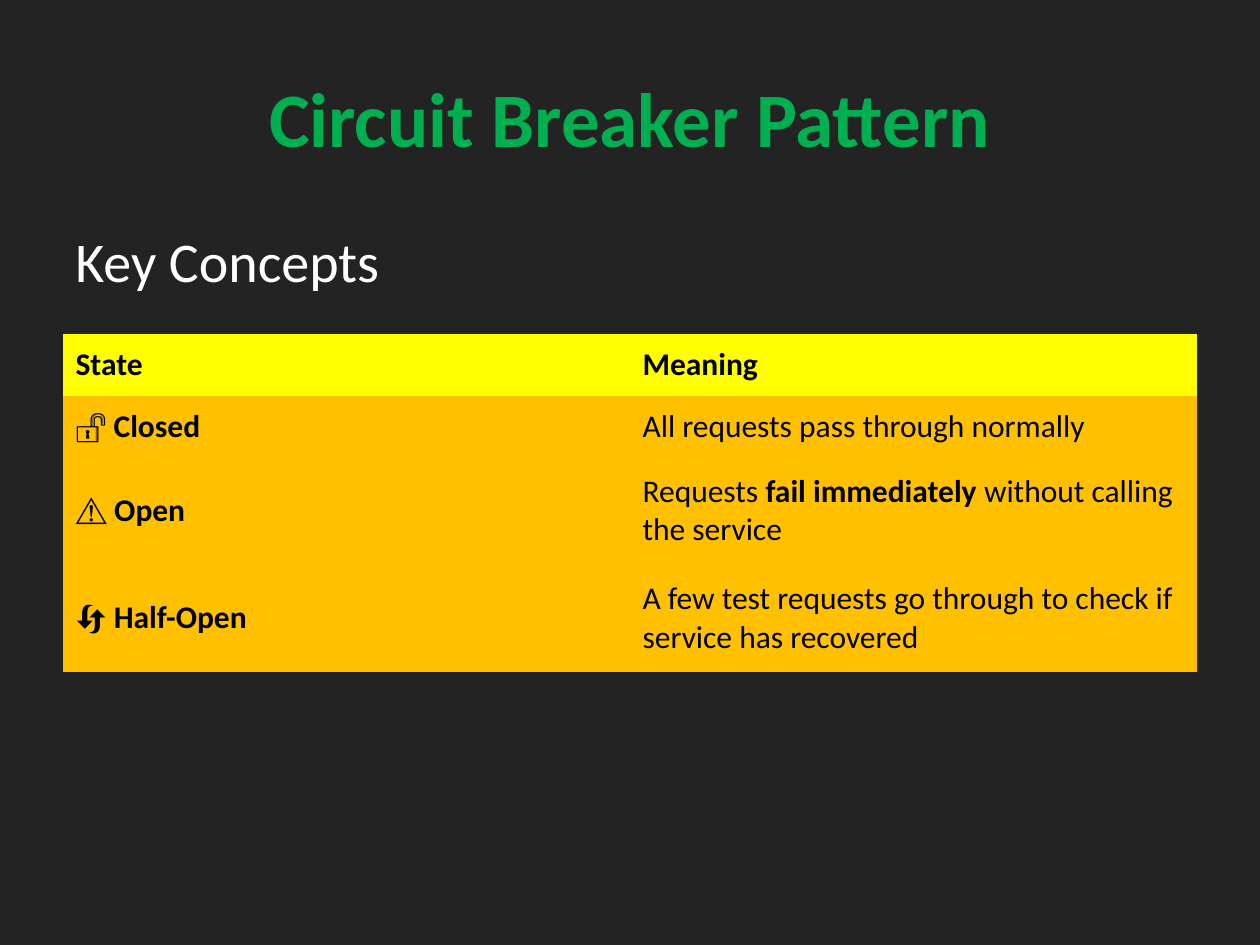
from dataclasses import dataclass

from pptx import Presentation
from pptx.dml.color import RGBColor
from pptx.enum.text import MSO_ANCHOR, PP_ALIGN
from pptx.oxml.ns import qn
from pptx.util import Inches, Pt

MIDDLE = MSO_ANCHOR.MIDDLE
TOP = MSO_ANCHOR.TOP
CENTER = PP_ALIGN.CENTER
LEFT = PP_ALIGN.LEFT

CHARCOAL = RGBColor(0x23, 0x23, 0x23)
GREEN = RGBColor(0x00, 0xB0, 0x50)
WHITE = RGBColor(0xFF, 0xFF, 0xFF)
BLACK = RGBColor(0x00, 0x00, 0x00)
YELLOW = RGBColor(0xFF, 0xFF, 0x00)
AMBER = RGBColor(0xFF, 0xC0, 0x00)

FONT = "Calibri"
PLAIN_TABLE_STYLE = "{2D5ABB26-0587-4C30-8999-92F81FD0307C}"
MARGIN = 0.5
CONTENT_WIDTH = 9


@dataclass(frozen=True)
class Span:
    text: str
    bold: bool = False


@dataclass(frozen=True)
class Heading:
    span: Span
    top: float
    height: float
    size: int
    color: RGBColor
    align: PP_ALIGN
    anchor: MSO_ANCHOR


@dataclass(frozen=True)
class StateRow:
    state: tuple[Span, ...]
    meaning: tuple[Span, ...]
    height: float
    fill: RGBColor = AMBER


HEADINGS = (
    Heading(Span("Circuit Breaker Pattern", True), 0.3, 1.25, 44, GREEN, CENTER, MIDDLE),
    Heading(Span("Key Concepts"), 1.75, 0.75, 32, WHITE, LEFT, TOP),
)

ROWS = (
    StateRow((Span("State", True),), (Span("Meaning", True),), 0.49, YELLOW),
    StateRow(
        (Span("🔓 "), Span("Closed", True)),
        (Span("All requests pass through normally"),),
        0.49,
    ),
    StateRow(
        (Span("⚠️ "), Span("Open", True)),
        (
            Span("Requests "),
            Span("fail immediately", True),
            Span(" without calling the service"),
        ),
        0.85,
    ),
    StateRow(
        (Span("🔄 "), Span("Half-Open", True)),
        (Span("A few test requests go through to check if service has recovered"),),
        0.85,
    ),
)


def add_spans(para, spans: tuple[Span, ...], size: int, color: RGBColor) -> None:
    for span in spans:
        run = para.add_run()
        run.text = span.text
        run.font.name = FONT
        run.font.size = Pt(size)
        run.font.bold = span.bold
        run.font.color.rgb = color


def add_heading(slide, heading: Heading) -> None:
    box = slide.shapes.add_textbox(
        Inches(MARGIN), Inches(heading.top), Inches(CONTENT_WIDTH), Inches(heading.height)
    )
    frame = box.text_frame
    frame.word_wrap = True
    frame.vertical_anchor = heading.anchor
    para = frame.paragraphs[0]
    para.alignment = heading.align
    add_spans(para, (heading.span,), heading.size, heading.color)


def add_state_table(slide, rows: tuple[StateRow, ...], top: float) -> None:
    height = sum(row.height for row in rows)
    holder = slide.shapes.add_table(
        len(rows), 2, Inches(MARGIN), Inches(top), Inches(CONTENT_WIDTH), Inches(height)
    )
    table = holder.table
    table.first_row = False
    table.horz_banding = False
    next(holder.element.iter(qn("a:tableStyleId"))).text = PLAIN_TABLE_STYLE
    for table_row, row in zip(table.rows, rows):
        table_row.height = Inches(row.height)
        for cell, spans in zip(table_row.cells, (row.state, row.meaning)):
            cell.fill.solid()
            cell.fill.fore_color.rgb = row.fill
            cell.vertical_anchor = MIDDLE
            add_spans(cell.text_frame.paragraphs[0], spans, 18, BLACK)


def main() -> None:
    deck = Presentation()
    deck.slide_width = Inches(10)
    deck.slide_height = Inches(7.5)
    page = deck.slides.add_slide(deck.slide_layouts[6])
    page.background.fill.solid()
    page.background.fill.fore_color.rgb = CHARCOAL
    for heading in HEADINGS:
        add_heading(page, heading)
    add_state_table(page, ROWS, 2.65)
    deck.save("out.pptx")


if __name__ == "__main__":
    main()
